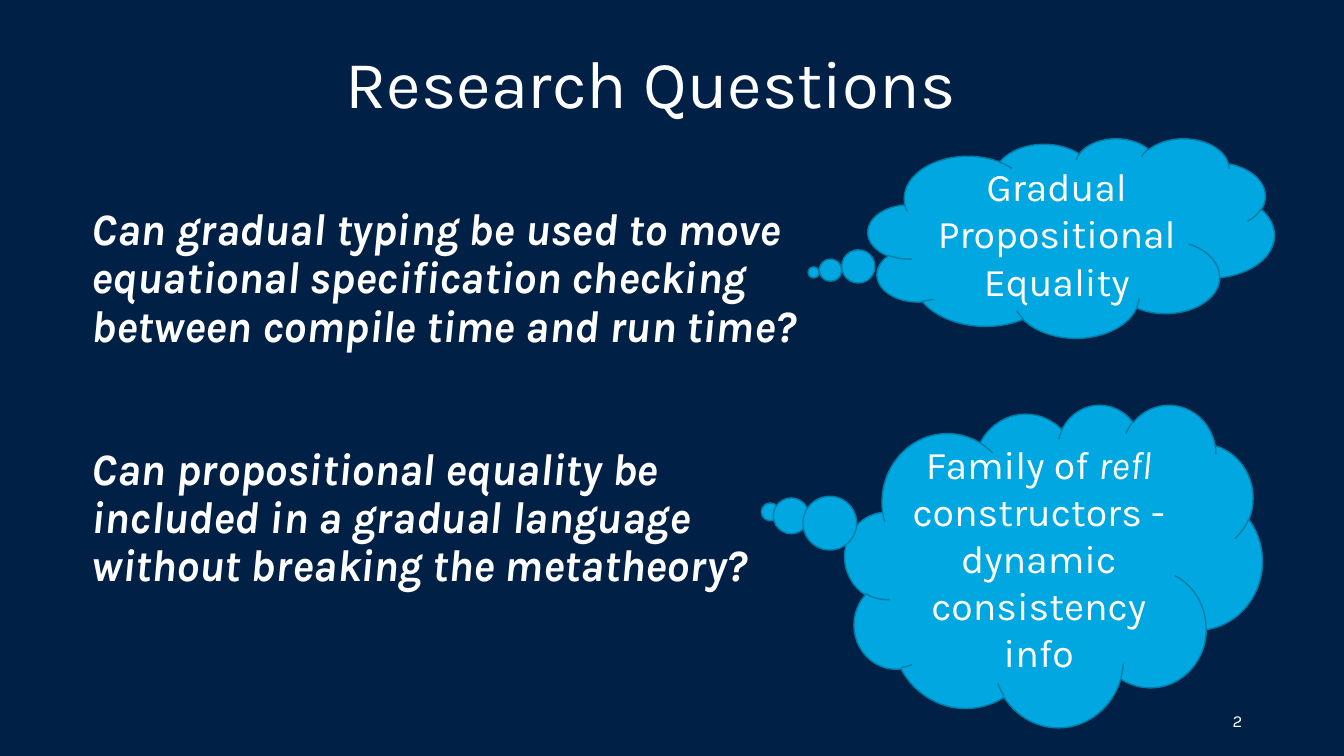
from pptx import Presentation
from pptx.dml.color import RGBColor
from pptx.enum.shapes import MSO_SHAPE as Shape
from pptx.enum.text import MSO_ANCHOR as Anchor, PP_ALIGN as Align
from pptx.util import Inches, Pt

FONT = "Karla"
COLORS = {
    "background": "002145",
    "text": "FFFFFF",
    "cloud": "00A7E1",
    "cloud_line": "007CA6",
}


def color(name):
    return RGBColor.from_string(COLORS[name])


def add_span(para, text, size, bold=False, italic=False):
    span = para.add_run()
    span.text = text
    font = span.font
    font.name, font.size = FONT, Pt(size)
    font.bold, font.italic = bold, italic
    font.color.rgb = color("text")


def add_text(page, text, place, size, align=Align.LEFT, anchor=Anchor.TOP,
             spacing=None, emphasis=False):
    box = page.shapes.add_textbox(*map(Inches, place))
    frame = box.text_frame
    frame.word_wrap = True
    frame.vertical_anchor = anchor
    para = frame.paragraphs[0]
    para.alignment = align
    para.line_spacing = spacing
    add_span(para, text, size, bold=emphasis, italic=emphasis)


def add_question(page, text, top):
    add_text(page, text, (0.81, top, 7.57, 2.16), 32, spacing=0.9, emphasis=True)


def add_thought(page, spans, place, tail):
    """Draw a thought cloud; spans are (text, italic) pairs."""
    cloud = page.shapes.add_shape(Shape.CLOUD_CALLOUT, *map(Inches, place))
    cloud.shadow.inherit = False
    for index, offset in enumerate(tail):
        cloud.adjustments[index] = offset
    cloud.fill.solid()
    cloud.fill.fore_color.rgb = color("cloud")
    cloud.line.color.rgb = color("cloud_line")
    cloud.line.width = Pt(1)
    frame = cloud.text_frame
    frame.word_wrap = True
    frame.vertical_anchor = Anchor.MIDDLE
    para = frame.paragraphs[0]
    para.alignment = Align.CENTER
    for text, italic in spans:
        add_span(para, text, 28, italic=italic)


def main():
    deck = Presentation()
    deck.slide_width, deck.slide_height = Inches(13.33), Inches(7.5)
    page = deck.slides.add_slide(deck.slide_layouts[6])
    page.background.fill.solid()
    page.background.fill.fore_color.rgb = color("background")

    # Title
    add_text(page, "Research Questions", (3.33, 0.36, 7.29, 0.91), 48)

    # First question and its idea
    add_question(page, "Can gradual typing be used to move equational specification "
                 "checking between compile time and run time?", 2)
    add_thought(page, [("Gradual Propositional Equality", False)],
                (8.61, 1.37, 4.03, 1.98), (-0.634, 0.173))

    # Second question and its idea
    add_thought(page, [("Family of ", False), ("refl", True),
                       (" constructors - dynamic consistency info", False)],
                (8.38, 4.01, 4.14, 3.2), (-0.679, -0.166))
    add_question(page, "Can propositional equality be included in a gradual language "
                 "without breaking the metatheory?", 4.38)

    # Page number
    add_text(page, "2", (9.42, 6.95, 3, 0.4), 12, Align.RIGHT, Anchor.MIDDLE)

    deck.save("out.pptx")


if __name__ == "__main__":
    main()
